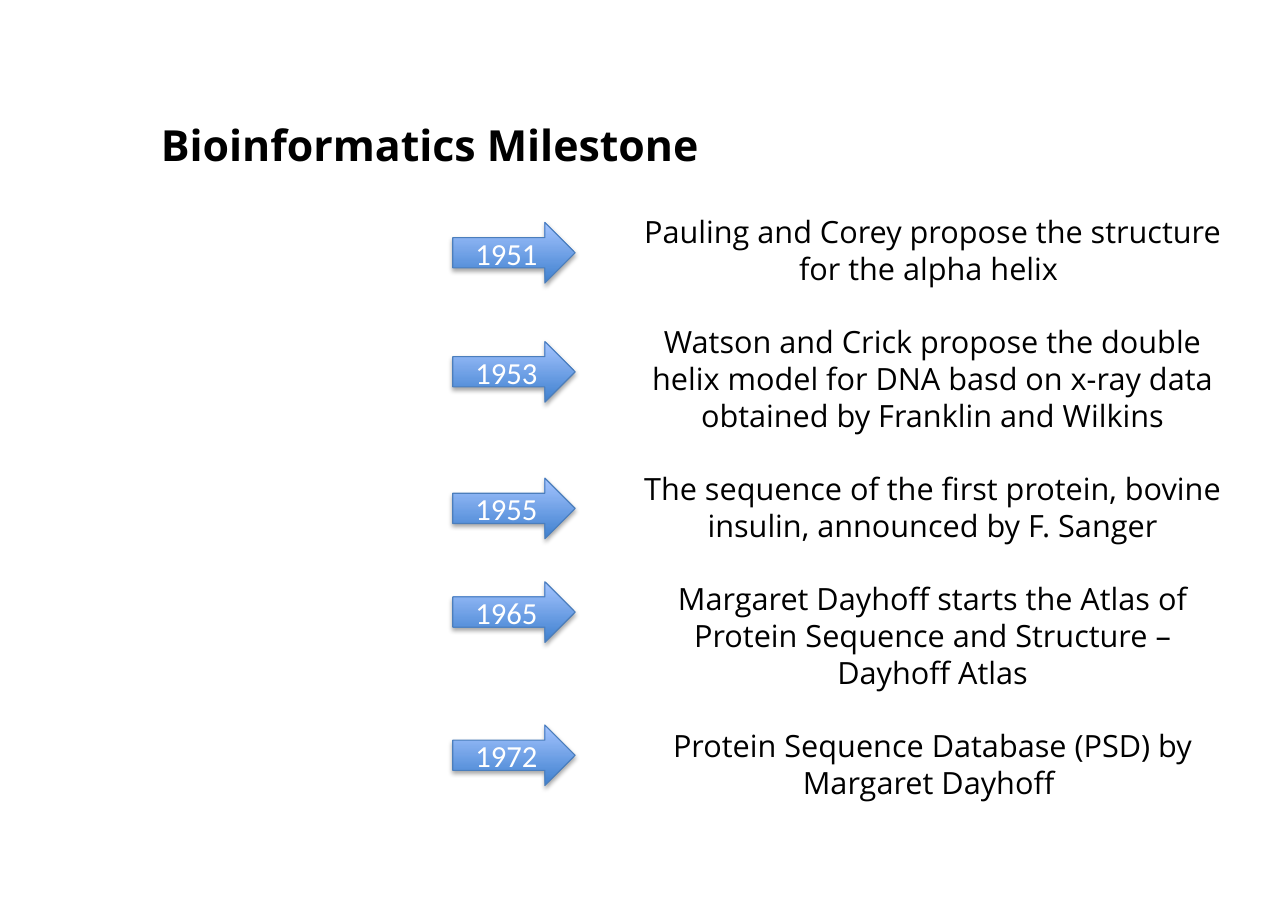
from dataclasses import dataclass
from lxml.etree import SubElement as Sub
from pptx import Presentation
from pptx.dml.color import RGBColor as Rgb
from pptx.enum.shapes import MSO_SHAPE as Shape
from pptx.enum.text import MSO_ANCHOR as Anchor, MSO_AUTO_SIZE as Fit, PP_ALIGN as Align
from pptx.oxml.ns import qn
from pptx.util import Pt


@dataclass(frozen=True)
class Theme:
    ink: str = "000000"
    pale: str = "FFFFFF"
    deep: str = "3F80CE"
    light: str = "A4C4FF"
    edge: str = "4B7EBC"
    head: int = 28
    text: int = 20
    sans: str = "Open Sans"
    plain: str = "Calibri"


theme = Theme()


def write(para, text, size=theme.text, face=theme.sans, color=theme.ink,
          bold=False, align=Align.CENTER, lead=None, before=0):
    para.text = text
    para.alignment = align
    para.space_before = Pt(before)
    if lead:
        para.line_spacing = Pt(lead)
    font = para.font
    font.size, font.name, font.bold = Pt(size), face, bold
    font.color.rgb = Rgb.from_string(color)


def place(shape, left, top, width, height):
    shape.left, shape.top = Pt(left), Pt(top)
    shape.width, shape.height = Pt(width), Pt(height)


# Year, top of its arrow, event
events = [
    ("1951", 145.4, "Pauling and Corey propose the structure for the alpha helix "),
    ("1953", 223.2, "Watson and Crick propose the double helix model for DNA basd "
                    "on x-ray data obtained by Franklin and Wilkins"),
    ("1955", 312.5, "The sequence of the first protein, bovine insulin, "
                    "announced by F. Sanger"),
    ("1965", 380.2, "Margaret Dayhoff starts the Atlas of Protein Sequence "
                    "and Structure – Dayhoff Atlas"),
    ("1972", 473.8, "Protein Sequence Database (PSD) by Margaret Dayhoff "),
]

deck = Presentation()
deck.slide_width, deck.slide_height = Pt(841.7), Pt(595.4)
slide = deck.slides.add_slide(deck.slide_layouts[1])

# Title
title = slide.shapes.title
place(title, 97.2, 69.1, 757.4, 50.4)
frame = title.text_frame
frame.vertical_anchor = Anchor.MIDDLE
frame.margin_left = frame.margin_right = Pt(7.9)
frame.margin_top = frame.margin_bottom = Pt(4.3)
write(frame.paragraphs[0], "Bioinformatics Milestone", size=theme.head,
      bold=True, align=Align.LEFT)

# Events, one line apart
body = slide.placeholders[1]
place(body, 409.7, 135.4, 399.6, 395.3)
frame = body.text_frame
frame.word_wrap = True
frame.auto_size = Fit.NONE
frame.vertical_anchor = Anchor.TOP
lead = 24
for i, (year, top, event) in enumerate(events):
    para = frame.add_paragraph() if i else frame.paragraphs[0]
    props = para._p.get_or_add_pPr()
    props.set("marL", "0")
    props.set("indent", "0")
    Sub(props, qn("a:buNone"))
    write(para, event, lead=lead, before=lead if i else 0)

# Year arrows
for year, top, event in events:
    arrow = slide.shapes.add_shape(Shape.RIGHT_ARROW, Pt(295.9), Pt(top), Pt(80), Pt(39.6))
    arrow.fill.gradient()
    arrow.fill.gradient_angle = 90
    for stop, color in zip(arrow.fill.gradient_stops, (theme.deep, theme.light)):
        stop.color.rgb = Rgb.from_string(color)
    arrow.line.color.rgb = Rgb.from_string(theme.edge)
    arrow.line.width = Pt(0.75)
    arrow.shadow.inherit = False
    effects = arrow._element.spPr.find(qn("a:effectLst"))
    shade = Sub(effects, qn("a:outerShdw"), blurRad=str(Pt(3.1)), dist=str(Pt(1.8)),
                dir="5400000", rotWithShape="0")
    black = Sub(shade, qn("a:srgbClr"), val=theme.ink)
    Sub(black, qn("a:alpha"), val="35000")
    arrow.text_frame.vertical_anchor = Anchor.MIDDLE
    write(arrow.text_frame.paragraphs[0], year, face=theme.plain, color=theme.pale)

deck.save("out.pptx")
